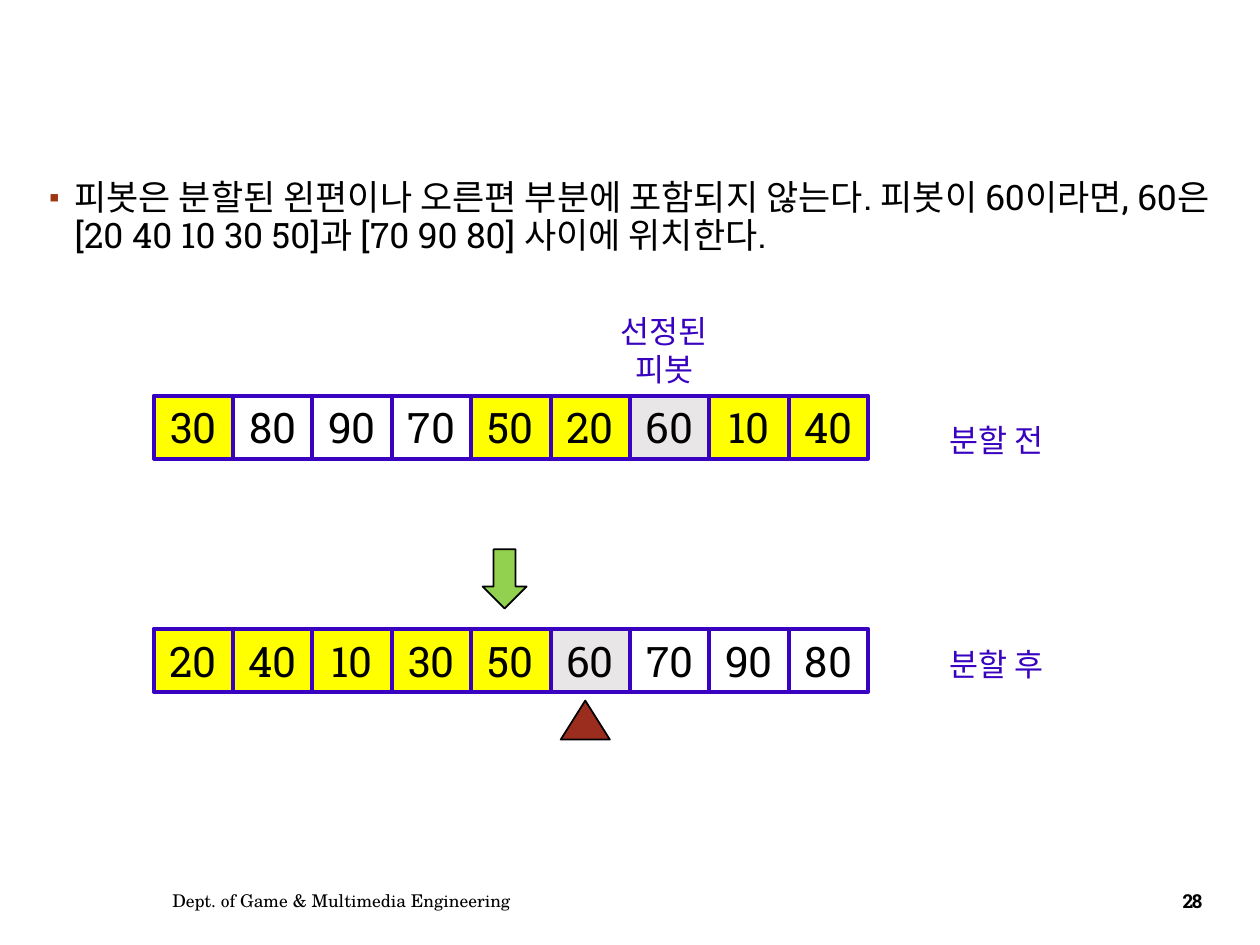
from dataclasses import dataclass

from lxml import etree
from pptx import Presentation
from pptx.dml.color import RGBColor
from pptx.enum.shapes import MSO_SHAPE as Shape
from pptx.enum.text import MSO_ANCHOR as Anchor, MSO_AUTO_SIZE as AutoSize, PP_ALIGN as Align
from pptx.oxml.ns import qn
from pptx.util import Inches, Pt


@dataclass(frozen=True)
class Theme:
    font: str = "Roboto Slab"
    footer_font: str = "TeX Gyre Schola"
    text: str = "000000"
    accent: str = "3802C0"
    bullet: str = "9E3611"
    smaller: str = "FFFF00"
    pivot: str = "E9E6E7"
    arrow: str = "92D050"
    marker: str = "9B2D1F"
    body_size: int = 20
    cell_size: int = 24
    label_size: int = 18
    footer_size: int = 10
    number_size: int = 11


THEME = Theme()
PIVOT = 60
BEFORE = [30, 80, 90, 70, 50, 20, 60, 10, 40]
AFTER = [20, 40, 10, 30, 50, 60, 70, 90, 80]
ROW_LEFT, CELL_WIDTH, CELL_HEIGHT = 1.22, 0.63, 0.5


def box(left, top, width, height):
    return [Inches(value) for value in (left, top, width, height)]


def write_text(frame, text, size, color=THEME.text, font=THEME.font, bold=False,
               align=Align.LEFT, anchor=Anchor.TOP, spacing=None):
    """Fill a text frame with one formatted paragraph and return the paragraph."""
    frame.word_wrap = True
    frame.auto_size = AutoSize.NONE
    frame.vertical_anchor = anchor
    paragraph = frame.paragraphs[0]
    paragraph.alignment = align
    run = paragraph.add_run()
    run.text = text
    run.font.name = font
    run.font.size = Pt(size)
    run.font.bold = bold
    run.font.color.rgb = RGBColor.from_string(color)
    if spacing is not None:
        run.font._element.set("spc", str(round(spacing * 100)))
    return paragraph


def add_label(slide, text, position, size=THEME.label_size, **text_format):
    label = slide.shapes.add_textbox(*box(*position))
    write_text(label.text_frame, text, size, **text_format)


def add_figure(slide, kind, position, fill, line=THEME.text, line_width=1):
    shape = slide.shapes.add_shape(kind, *box(*position))
    shape.shadow.inherit = False
    if fill:
        shape.fill.solid()
        shape.fill.fore_color.rgb = RGBColor.from_string(fill)
    else:
        shape.fill.background()
    shape.line.color.rgb = RGBColor.from_string(line)
    shape.line.width = Pt(line_width)
    return shape


def cell_fill(value):
    if value == PIVOT:
        return THEME.pivot
    return THEME.smaller if value < PIVOT else None


def add_array(slide, values, top):
    """Draw a row of cells, coloured by how each value compares with the pivot."""
    for index, value in enumerate(values):
        position = (ROW_LEFT + index * CELL_WIDTH, top, CELL_WIDTH, CELL_HEIGHT)
        cell = add_figure(slide, Shape.RECTANGLE, position, cell_fill(value),
                          line=THEME.accent, line_width=2.25)
        write_text(cell.text_frame, str(value), THEME.cell_size,
                   align=Align.CENTER, anchor=Anchor.MIDDLE)


def set_bullet(paragraph, character, color, percent, indent):
    properties = paragraph._p.get_or_add_pPr()
    properties.set("marL", str(Inches(indent)))
    properties.set("indent", str(-Inches(indent)))
    bullet_color = etree.SubElement(properties, qn("a:buClr"))
    etree.SubElement(bullet_color, qn("a:srgbClr"), val=color)
    etree.SubElement(properties, qn("a:buSzPct"), val=str(percent * 1000))
    etree.SubElement(properties, qn("a:buChar"), char=character)


def fill_body(slide, text):
    body = slide.placeholders[1]
    body.left, body.top, body.width, body.height = box(0.29, 1.38, 9.43, 5.37)
    paragraph = write_text(body.text_frame, text, THEME.body_size)
    paragraph.line_spacing = 0.9
    paragraph.space_before = Pt(12)
    set_bullet(paragraph, "▪", THEME.bullet, 85, 0.2)


def main():
    presentation = Presentation()
    presentation.slide_width, presentation.slide_height = Inches(10), Inches(7.5)
    slide = presentation.slides.add_slide(presentation.slide_layouts[1])

    # The slide has no title
    title = slide.shapes.title._element
    title.getparent().remove(title)

    # Statement
    fill_body(slide, "피봇은 분할된 왼편이나 오른편 부분에 포함되지 않는다. 피봇이 60이라면, "
                     "60은 [20 40 10 30 50]과 [70 90 80] 사이에 위치한다.")

    # Pivot marker and step arrow
    add_figure(slide, Shape.ISOSCELES_TRIANGLE, (4.45, 5.56, 0.39, 0.31), THEME.marker)
    add_figure(slide, Shape.DOWN_ARROW, (3.83, 4.36, 0.35, 0.47), THEME.arrow)

    # Array before and after the partition
    add_array(slide, BEFORE, 3.14)
    add_array(slide, AFTER, 4.99)

    # Labels
    caption = {"color": THEME.accent, "align": Align.CENTER}
    add_label(slide, "선정된피봇", (4.76, 2.43, 1.02, 0.71), **caption)
    add_label(slide, "분할 전", (7.2, 3.29, 1.42, 0.4), **caption)
    add_label(slide, "분할 후", (7.2, 5.07, 1.42, 0.4), **caption)

    # Footer
    add_label(slide, "Dept. of Game & Multimedia Engineering", (1.27, 6.95, 4.59, 0.4),
              size=THEME.footer_size, font=THEME.footer_font, anchor=Anchor.MIDDLE)
    add_label(slide, "28", (9.2, 6.95, 0.53, 0.4), size=THEME.number_size, bold=True,
              align=Align.CENTER, anchor=Anchor.MIDDLE, spacing=-0.7)

    presentation.save("out.pptx")


if __name__ == "__main__":
    main()
